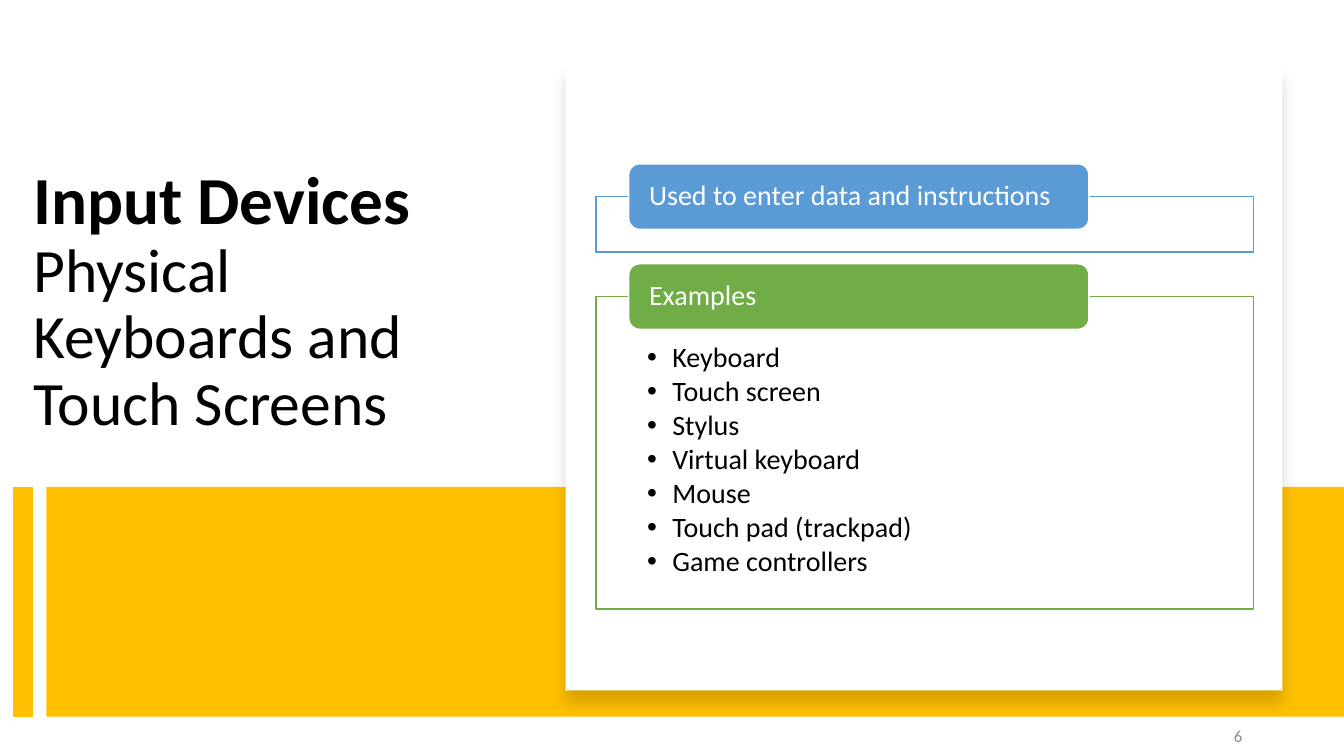
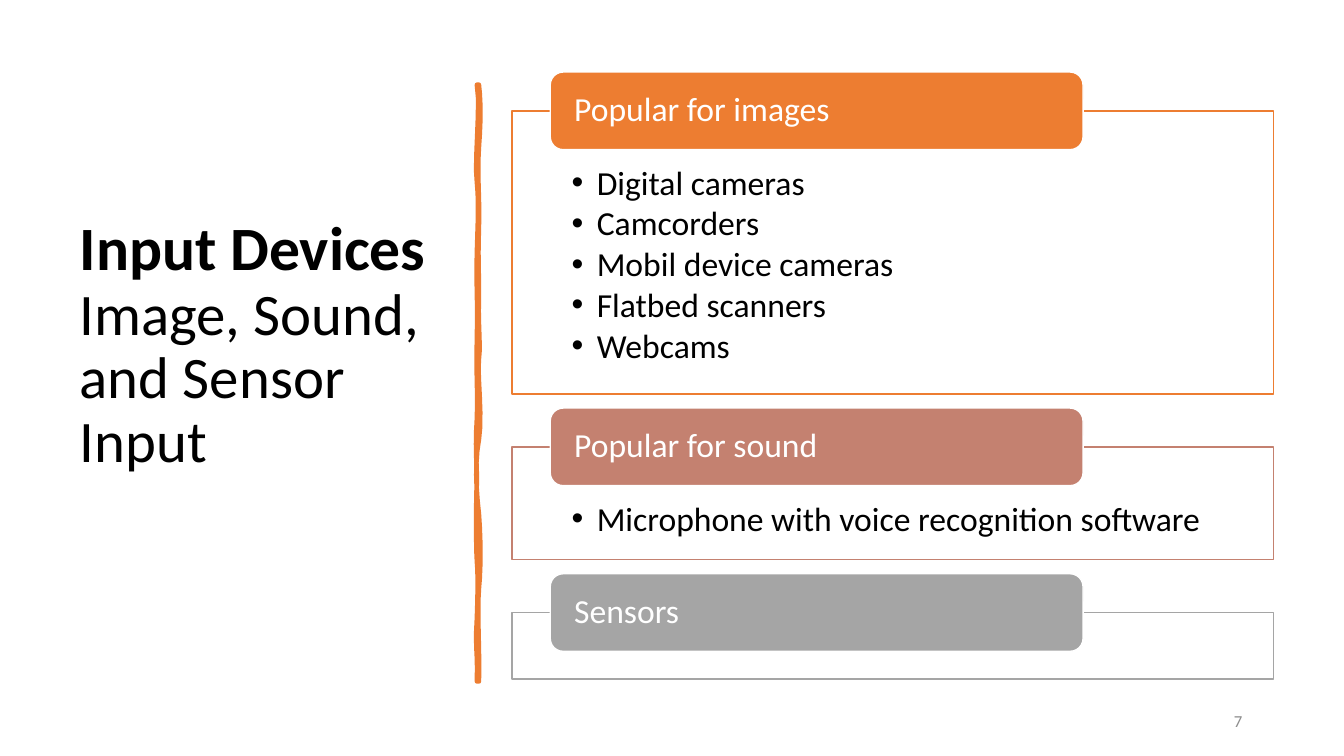
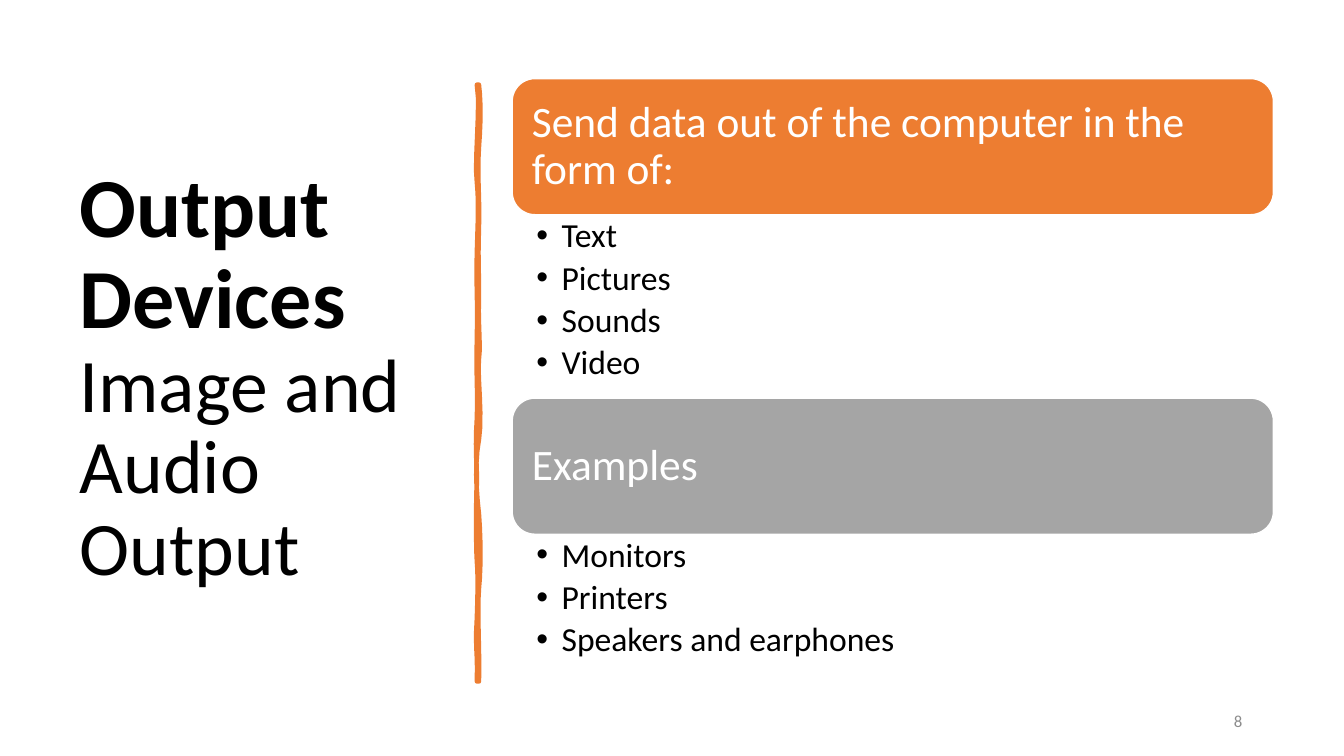
from lxml.etree import SubElement
from pptx import Presentation
from pptx.dml.color import RGBColor
from pptx.enum.shapes import MSO_CONNECTOR, MSO_SHAPE
from pptx.enum.text import MSO_ANCHOR, MSO_AUTO_SIZE, PP_ALIGN
from pptx.oxml.ns import qn
from pptx.util import Inches, Pt

FONT = "Calibri"
HUES = {
    "white": "FFFFFF", "black": "000000", "gray": "8C8C8C",
    "gold": "FFC000", "blue": "5B9BD5", "green": "70AD47",
    "orange": "ED7D31", "clay": "C48170", "silver": "A5A5A5",
}
START = (4.75, 0.84)
CURVES = [
    (4.77, 1.02, 4.77, 1.19, 4.75, 1.46), (4.73, 1.73, 4.76, 1.95, 4.75, 2.26),
    (4.74, 2.57, 4.75, 2.62, 4.75, 2.94), (4.74, 3.25, 4.77, 3.42, 4.75, 3.56),
    (4.73, 3.7, 4.79, 4.14, 4.75, 4.36), (4.71, 4.57, 4.72, 4.84, 4.75, 5.1),
    (4.77, 5.36, 4.77, 5.64, 4.75, 5.84), (4.73, 6.03, 4.76, 6.5, 4.75, 6.76),
    (4.74, 6.76, 4.73, 6.76, 4.73, 6.76), (4.74, 6.46, 4.71, 6.44, 4.73, 6.13),
    (4.74, 5.83, 4.74, 5.7, 4.73, 5.57), (4.72, 5.44, 4.72, 4.95, 4.73, 4.77),
    (4.73, 4.59, 4.71, 4.45, 4.73, 4.15), (4.74, 3.86, 4.72, 3.73, 4.73, 3.35),
    (4.74, 2.98, 4.72, 2.81, 4.73, 2.5), (4.74, 2.18, 4.75, 2, 4.73, 1.81),
    (4.7, 1.63, 4.77, 1.04, 4.73, 0.84),
]


def hue(name):
    """Return the named colour."""
    return RGBColor.from_string(HUES[name])


def trace(start, curves, steps=6):
    """Return points along a chain of cubic curves."""
    spots = []
    x, y = start
    for ax, ay, bx, by, ex, ey in curves:
        for step in range(1, steps + 1):
            t = step / steps
            u = 1 - t
            parts = (u ** 3, 3 * u * u * t, 3 * u * t * t, t ** 3)
            spots.append(tuple(
                Inches(sum(k * v for k, v in zip(parts, line)))
                for line in ((x, ax, bx, ex), (y, ay, by, ey))))
        x, y = ex, ey
    return spots


class Deck:
    """Hold the shared style and the slide being built."""

    def __init__(self):
        """Open an empty wide deck."""
        self.show = Presentation()
        self.show.slide_width = Inches(13.33)
        self.show.slide_height = Inches(7.5)

    def page(self, layout, number, top):
        """Start a slide with its number."""
        self.slide = self.show.slides.add_slide(self.show.slide_layouts[layout])
        self.shapes = self.slide.shapes
        self.free = [p for p in self.slide.placeholders
                     if p.placeholder_format.idx in (1, 2)]
        box = self.shapes.add_textbox(*map(Inches, (9.42, top, 3, 0.4)))
        self.text(box, [number], 12, "gray", align=PP_ALIGN.RIGHT, spacing=1)

    def place(self, shape, box):
        """Move a shape to a box."""
        shape.left, shape.top, shape.width, shape.height = map(Inches, box)

    def paint(self, shape, fill, line=None, width=1):
        """Fill and outline a shape."""
        shape.fill.solid()
        shape.fill.fore_color.rgb = hue(fill)
        if line:
            shape.line.color.rgb = hue(line)
            shape.line.width = Pt(width)
        else:
            shape.line.fill.background()

    def frame(self, shape, pads, anchor):
        """Set wrapping, insets and anchor of a text frame."""
        frame = shape.text_frame
        frame.word_wrap = True
        frame.auto_size = MSO_AUTO_SIZE.NONE
        frame.vertical_anchor = anchor
        (frame.margin_left, frame.margin_top,
         frame.margin_right, frame.margin_bottom) = map(Inches, pads)
        return frame

    def style(self, para, size, color, align=PP_ALIGN.LEFT, spacing=0.9):
        """Format one paragraph."""
        para.alignment = align
        para.line_spacing = spacing
        para.space_before = Pt(0)
        para.font.name = FONT
        para.font.size = Pt(size)
        para.font.color.rgb = hue(color)

    def text(self, shape, lines, size, color, pads=(0.1, 0.05, 0.1, 0.05),
             anchor=MSO_ANCHOR.MIDDLE, after=None, **looks):
        """Set paragraphs, bulleted when a gap after them is given."""
        frame = self.frame(shape, pads, anchor)
        for spot, line in enumerate(lines):
            para = frame.add_paragraph() if spot else frame.paragraphs[0]
            para.text = line
            if after is not None:
                para.space_after = Pt(after)
                props = para._p.get_or_add_pPr()
                props.set("marL", str(Inches(0.25)))
                props.set("indent", str(-Inches(0.25)))
                SubElement(props, qn("a:buFont"), typeface="Arial")
                SubElement(props, qn("a:buChar"), char="•")
            self.style(para, size, color, **looks)

    def title(self, box, head, big, rest, size, anchor=MSO_ANCHOR.MIDDLE,
              foot=0.05):
        """Set a bold heading with a plain one below."""
        shape = self.shapes.title
        self.place(shape, box)
        para = self.frame(shape, (0.1, 0.05, 0.1, foot), anchor).paragraphs[0]
        self.style(para, size, "black")
        run = para.add_run()
        run.text = head
        run.font.size = Pt(big)
        run.font.bold = True
        para.add_line_break()
        para.add_run().text = rest

    def block(self, box, fill, line=None, kind=MSO_SHAPE.RECTANGLE):
        """Add a flat preset shape."""
        shape = self.shapes.add_shape(kind, *map(Inches, box))
        shape.shadow.inherit = False
        self.paint(shape, fill, line)
        return shape

    def items(self, box, lines, size, pads, after):
        """Put a bulleted list in the next body placeholder, in front."""
        shape = self.free.pop(0)
        self.place(shape, box)
        self.shapes._spTree.append(shape._element)
        self.text(shape, lines, size, "black", pads, MSO_ANCHOR.TOP, after)
        return shape

    def label(self, box, text, size, fill, pads):
        """Add a rounded label."""
        shape = self.block(box, fill, "white", MSO_SHAPE.ROUNDED_RECTANGLE)
        self.text(shape, [text], size, "white", pads)

    def stack(self, left, top, width, tab, size, after, side, rows):
        """Stack outlined panels, each with a tab on its top edge."""
        for text, color, high, lines in rows:
            box = (left, top, width, high)
            if lines:
                inset = 0.078 * width
                pads = (inset, 0.71 * tab, inset, 0.25 * tab)
                panel = self.items(box, lines, size, pads, after)
                self.paint(panel, "white", color)
            else:
                self.block(box, "white", color)
            self.label((left + 0.05 * width, top - tab / 2, 0.7 * width, tab),
                       text, size, color, (side, 0, side, 0))
            top += high + 0.68 * tab

    def heads(self, left, top, width, rows):
        """Stack wide labels, each with a list below."""
        for text, color, high, lines in rows:
            self.label((left, top, width, 1.35), text, 31, color, (0.13,) * 4)
            top += 1.35
            self.items((left, top, width, high), lines, 24,
                       (0.24, 0.04, 0.24, 0.04), 4.3)
            top += high

    def band(self):
        """Draw the gold band and its side bar."""
        self.block((0.46, 4.83, 12.87, 2.28), "gold")
        bar = self.shapes.add_connector(
            MSO_CONNECTOR.STRAIGHT, *map(Inches, (0.23, 4.83, 0.23, 7.11)))
        bar.line.color.rgb = hue("gold")
        bar.line.width = Pt(14)
        SubElement(bar._element.spPr, qn("a:effectLst"))

    def card(self, box):
        """Add a white card with a soft shadow."""
        shape = self.block(box, "white")
        glow = SubElement(
            shape._element.spPr.find(qn("a:effectLst")), qn("a:outerShdw"),
            blurRad=str(Pt(11)), dist=str(Pt(10)), dir="5400000",
            algn="t", rotWithShape="0")
        tint = SubElement(glow, qn("a:srgbClr"), val=HUES["black"])
        SubElement(tint, qn("a:alpha"), val="15000")

    def stroke(self):
        """Draw the hand-drawn upright rule."""
        pen = self.shapes.build_freeform(*map(Inches, START), scale=1.0)
        pen.add_line_segments(trace(START, CURVES), close=True)
        shape = pen.convert_to_shape()
        shape.shadow.inherit = False
        self.paint(shape, "orange", "orange", 3.25)


def main():
    """Build the three slides."""
    deck = Deck()
    side = (0.69, 0.7, 3.74, 6.11)

    deck.page(1, "6", 7.1)
    deck.title((0.23, 1.6, 4.63, 2.94), "Input Devices", 48,
               "Physical Keyboards and Touch Screens", 44, MSO_ANCHOR.TOP)
    deck.band()
    deck.card((5.61, 0.64, 7.11, 6.21))
    deck.stack(5.91, 1.95, 6.52, 0.65, 20, 2.7, 0.17, [
        ("Used to enter data and instructions", "blue", 0.55, []),
        ("Examples", "green", 3.1, [
            "Keyboard", "Touch screen", "Stylus", "Virtual keyboard", "Mouse",
            "Touch pad (trackpad)", "Game controllers"]),
    ])

    deck.page(3, "7", 6.95)
    deck.title(side, "Input Devices", 44, "Image, Sound, and Sensor Input", 42,
               foot=0.69)
    deck.stroke()
    deck.stack(5.08, 1.1, 7.55, 0.77, 24, 3.2, 0.2, [
        ("Popular for images", "orange", 2.81, [
            "Digital cameras", "Camcorders", "Mobil device cameras",
            "Flatbed scanners", "Webcams"]),
        ("Popular for sound", "clay", 1.12, [
            "Microphone with voice recognition software"]),
        ("Sensors", "silver", 0.66, []),
    ])

    deck.page(3, "8", 6.95)
    deck.title(side, "Output Devices", 60, "Image and Audio Output", 54)
    deck.stroke()
    deck.heads(5.08, 0.78, 7.55, [
        ("Send data out of the computer in the form of:", "orange", 1.82,
         ["Text", "Pictures", "Sounds", "Video"]),
        ("Examples", "silver", 1.37,
         ["Monitors", "Printers", "Speakers and earphones"]),
    ])

    deck.show.save("out.pptx")


if __name__ == "__main__":
    main()
